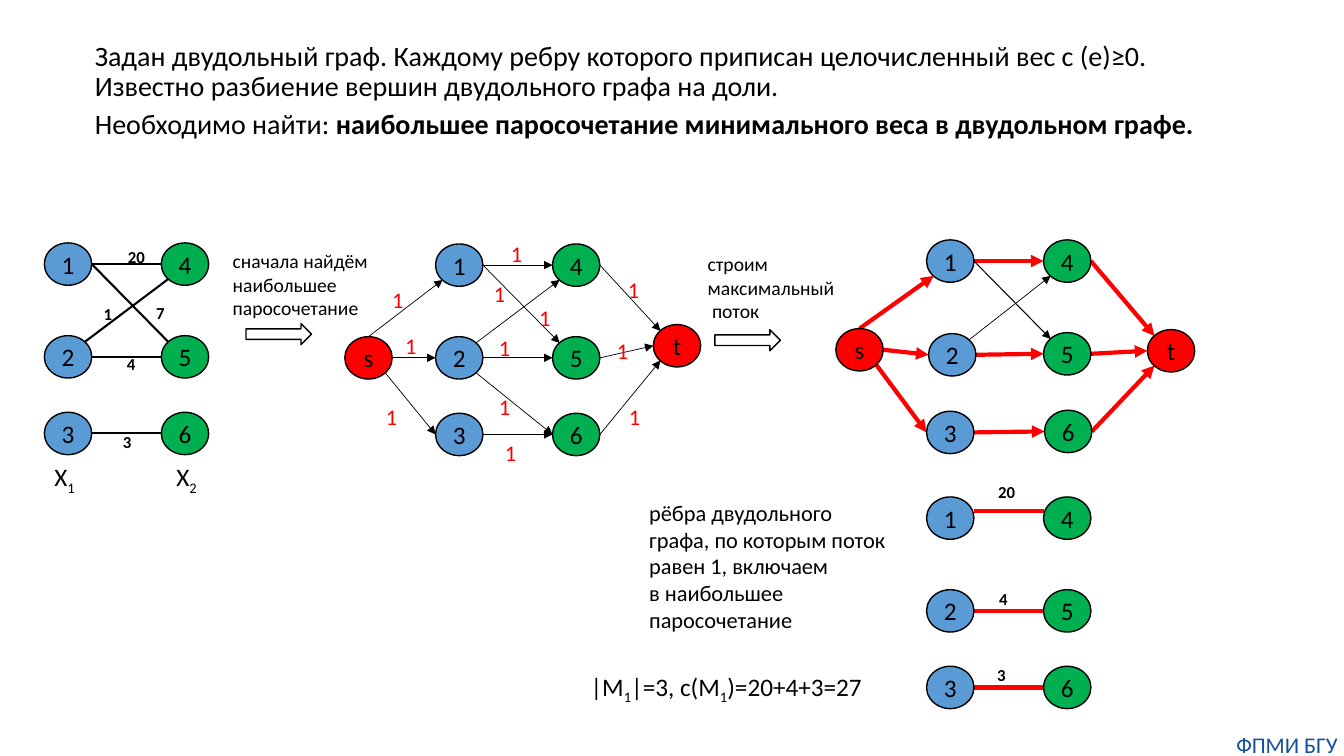
from lxml import etree
from pptx import Presentation
from pptx.dml.color import RGBColor
from pptx.enum.shapes import MSO_CONNECTOR, MSO_SHAPE
from pptx.enum.text import MSO_ANCHOR, PP_ALIGN
from pptx.oxml.ns import qn
from pptx.util import Inches, Pt

STRAIGHT = MSO_CONNECTOR.STRAIGHT
OVAL, BLOCK_ARROW = MSO_SHAPE.OVAL, MSO_SHAPE.RIGHT_ARROW
MIDDLE, TOP = MSO_ANCHOR.MIDDLE, MSO_ANCHOR.TOP
LEFT, CENTER, JUSTIFY = PP_ALIGN.LEFT, PP_ALIGN.CENTER, PP_ALIGN.JUSTIFY

BLACK = RGBColor(0x00, 0x00, 0x00)
RED = RGBColor(0xFF, 0x00, 0x00)
BLUE = RGBColor(0x5B, 0x9B, 0xD5)
GREEN = RGBColor(0x00, 0xB0, 0x50)
NAVY = RGBColor(0x14, 0x4E, 0x9D)

FONT = "Calibri"
NODE_W, NODE_H = 0.47, 0.42
NODE_FILL = {"1": BLUE, "2": BLUE, "3": BLUE, "4": GREEN, "5": GREEN, "6": GREEN,
             "s": RED, "t": RED}
# Points on a node's outline, as shares of its size
DIAGONAL = 0.35
SIDES = {"N": (0, -0.5), "E": (0.5, 0), "S": (0, 0.5), "W": (-0.5, 0),
         "NE": (DIAGONAL, -DIAGONAL), "SE": (DIAGONAL, DIAGONAL),
         "NW": (-DIAGONAL, -DIAGONAL), "SW": (-DIAGONAL, DIAGONAL)}
# Two parts of the bipartite graph, relative to node 1
PARTS = {"1": (0, 0), "2": (0, 0.92), "3": (0, 1.68),
         "4": (1.16, 0), "5": (1.16, 0.92), "6": (1.16, 1.68)}


def set_font(font, size, color=BLACK, bold=False):
    font.name, font.size, font.bold = FONT, Pt(size), bold
    font.color.rgb = color


def add_text(shapes, box, lines, size, color=BLACK, bold=False, align=LEFT, wrap=False):
    """Text box; a line is a string, or a list of pieces where every second one is a subscript."""
    frame = shapes.add_textbox(*map(Inches, box)).text_frame
    frame.word_wrap = wrap
    for number, line in enumerate(lines):
        paragraph = frame.add_paragraph() if number else frame.paragraphs[0]
        paragraph.alignment = align
        set_font(paragraph.font, size, color, bold)
        for place, piece in enumerate([line] if isinstance(line, str) else line):
            run = paragraph.add_run()
            run.text = piece
            if place % 2:
                run.font._element.set("baseline", "-25000")
    return frame


def add_edge(shapes, start, end, color, width, arrow):
    edge = shapes.add_connector(STRAIGHT, *map(Inches, (*start, *end)))
    edge.line.color.rgb, edge.line.width = color, Pt(width)
    if arrow:
        etree.SubElement(edge.line._get_or_add_ln(), qn("a:tailEnd"), type="triangle")
    etree.SubElement(edge._element.spPr, qn("a:effectLst"))


def add_node(shapes, label, left, top):
    node = shapes.add_shape(OVAL, *map(Inches, (left, top, NODE_W, NODE_H)))
    node.shadow.inherit = False
    node.fill.solid()
    node.fill.fore_color.rgb = NODE_FILL[label]
    node.line.color.rgb, node.line.width = BLACK, Pt(1)
    frame = node.text_frame
    frame.vertical_anchor = MIDDLE
    caption = frame.paragraphs[0]
    caption.text, caption.alignment = label, CENTER
    set_font(caption.font, 18)


def add_graph(slide, left, top, nodes, edge_styles, arrow=False):
    """Graph with node 1 at (left, top); edges such as "1E-5NW" name node and side."""
    shapes = slide.shapes.add_group_shape().shapes

    def outline_point(end):
        (x, y), (dx, dy) = nodes[end[0]], SIDES[end[1:]]
        return left + x + NODE_W * (0.5 + dx), top + y + NODE_H * (0.5 + dy)

    for edges, color, width in edge_styles:
        for edge in edges.split():
            start, end = map(outline_point, edge.split("-"))
            add_edge(shapes, start, end, color, width, arrow)
    for label, (x, y) in nodes.items():
        add_node(shapes, label, left + x, top + y)
    return shapes


def add_weights(shapes, left, top, weights, size, color, bold):
    for weight, x, y in weights:
        add_text(shapes, (left + x, top + y, 0.2 + size * 0.014 * len(weight) / 2, 0.3),
                 [weight], size, color, bold)


def add_statement(slide, box):
    statement = slide.placeholders[1]
    statement.left, statement.top, statement.width, statement.height = map(Inches, box)
    frame = statement.text_frame
    frame.vertical_anchor = TOP
    task = [("Задан двудольный граф. Каждому ребру которого приписан целочисленный вес "
             "c (e)≥0. Известно разбиение вершин двудольного графа на доли.", ""),
            ("Необходимо найти: ",
             "наибольшее паросочетание минимального веса в двудольном графе.")]
    for number, (plain, strong) in enumerate(task):
        paragraph = frame.add_paragraph() if number else frame.paragraphs[0]
        paragraph.level = 1
        paragraph.line_spacing, paragraph.space_before = 0.9, Pt(5)
        set_font(paragraph.font, 20)
        paragraph.add_run().text = plain
        if strong:
            run = paragraph.add_run()
            run.text, run.font.bold = strong, True
        properties = paragraph._p.get_or_add_pPr()
        properties.set("marL", str(Inches(0.5)))
        properties.set("indent", "0")
        properties.insert_element_before(properties.makeelement(qn("a:buNone"), {}),
                                         "a:tabLst", "a:defRPr", "a:extLst")


def add_given_graph(slide, left, top):
    shapes = add_graph(slide, left, top, PARTS,
                       [("1E-4W 1E-5NW 2E-5W 2NE-4SW 3E-6W", BLACK, 1.5)])
    weights = [("20", 0.73, -0.01), ("1", 0.49, 0.55), ("7", 1.01, 0.54),
               ("4", 0.72, 1.05), ("3", 0.68, 1.82)]
    add_weights(shapes, left, top, weights, 12, BLACK, True)
    for index, x in (("1", 0), ("2", 1.21)):
        add_text(shapes, (left + x, top + 2.12, 0.42, 0.4), [["X", index]], 18)


def add_unit_network(slide, left, top):
    nodes = PARTS | {"s": (-0.9, 0.92), "t": (2.16, 0.8)}
    edges = ("sN-1SW sE-2W sSE-3W 1E-4W 1E-5NW 2E-5W 2NE-4SW 2SE-6W 3E-6W "
             "4E-tNW 5E-tW 6E-tSW")
    shapes = add_graph(slide, left, top, nodes, [(edges, BLACK, 0.5)], arrow=True)
    places = [(0.59, 1.89), (0.65, -0.09), (-0.4, 0.83), (1.81, 0.27), (-0.59, 1.53),
              (0.53, 0.85), (1.7, 0.88), (-0.53, 0.37), (1.82, 1.53), (0.93, 0.55),
              (0.48, 0.31), (0.53, 1.43)]
    add_weights(shapes, left, top, [("1", x, y) for x, y in places], 16, RED, False)


def add_max_flow(slide, left, top):
    nodes = PARTS | {"2": (0.02, 0.93), "3": (0, 1.7), "6": (1.17, 1.69),
                     "s": (-0.9, 0.88), "t": (2.19, 0.89)}
    flow = "sN-1SW sE-2W sSE-3W 1E-4W 2E-5W 3E-6W 4E-tNW 5E-tW 6E-tSW"
    add_graph(slide, left, top, nodes,
              [(flow, RED, 3), ("1E-5NW", BLACK, 0.75), ("2NE-4SW", BLACK, 0.5)], arrow=True)


def add_matching(slide, left, top):
    shapes = add_graph(slide, left, top, PARTS, [("2E-5W 3E-6W", RED, 3)])
    # The heaviest edge runs a little above the node centres
    add_edge(shapes, (left + NODE_W, top + 0.14), (left + 1.16, top + 0.14), RED, 3, False)
    add_weights(shapes, left, top, [("20", 0.61, -0.2), ("4", 0.62, 0.86), ("3", 0.6, 1.62)],
                12, BLACK, True)


def add_step(slide, caption_box, lines, arrow_left, arrow_top):
    add_text(slide.shapes, caption_box, lines, 14)
    arrow = slide.shapes.add_shape(BLOCK_ARROW, *map(Inches, (arrow_left, arrow_top, 0.65, 0.21)))
    arrow.shadow.inherit = False
    arrow.fill.background()
    arrow.line.color.rgb, arrow.line.width = BLACK, Pt(1)


def add_conclusion(slide, left, top):
    add_text(slide.shapes, (left + 0.58, top, 2.58, 1.45),
             ["рёбра двудольного", "графа, по которым поток", "равен 1, включаем",
              "в наибольшее", "паросочетание"], 16, align=JUSTIFY)
    add_text(slide.shapes, (left, top + 1.71, 2.97, 0.4),
             [["|M", "1", "|=3, с(M", "1", ")=20+4+3=27"]], 18)


def add_footer(slide, box):
    frame = add_text(slide.shapes, box, ["ФПМИ БГУ"], 16, NAVY, align=CENTER, wrap=True)
    frame.margin_left = frame.margin_right = frame.margin_top = frame.margin_bottom = 0


def main():
    deck = Presentation()
    deck.slide_width, deck.slide_height = Inches(13.33), Inches(7.5)
    slide = deck.slides.add_slide(deck.slide_layouts[1])
    title = slide.shapes.title._element
    title.getparent().remove(title)

    add_statement(slide, (0.34, 0.37, 12.22, 1.08))
    add_given_graph(slide, 0.44, 2.41)
    add_step(slide, (2.21, 2.42, 1.56, 0.81),
             ["сначала найдём", "наибольшее", "паросочетание"], 2.44, 3.21)
    add_unit_network(slide, 4.32, 2.42)
    add_step(slide, (6.92, 2.45, 1.47, 0.81), ["строим", "максимальный", " поток"], 7.09, 3.27)
    add_max_flow(slide, 9.19, 2.38)
    add_matching(slide, 9.19, 4.93)
    add_conclusion(slide, 5.76, 4.9)
    add_footer(slide, (12.2, 7.25, 1.13, 0.27))
    deck.save("out.pptx")


if __name__ == "__main__":
    main()
